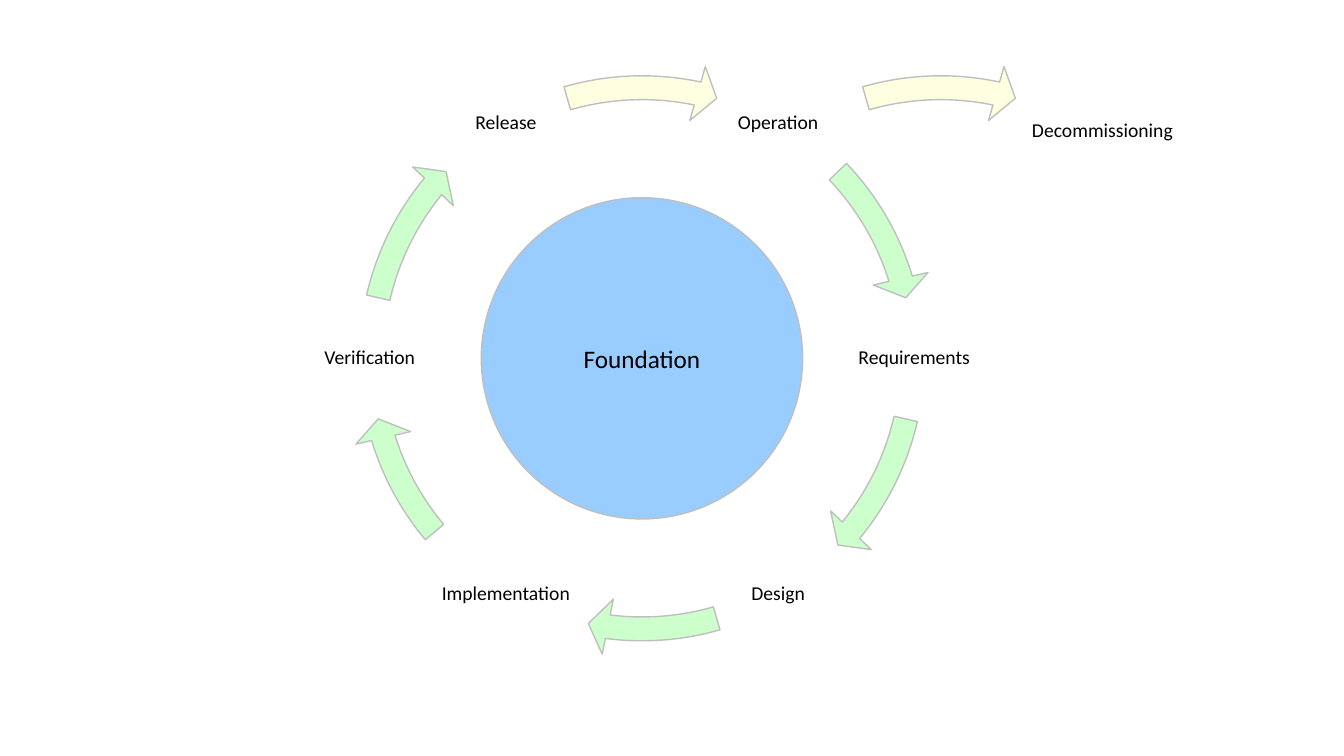
import math

from pptx import Presentation
from pptx import util as u
from pptx.dml.color import RGBColor
from pptx.enum import shapes, text

COLOURS = {"cycle": "CCFFCC", "release": "FDFFE0", "hub": "99CCFF",
           "outline": "BFBFBF", "text": "000000"}

deck = Presentation()
deck.slide_width, deck.slide_height = u.Inches(13.33), u.Inches(7.5)
page = deck.slides.add_slide(deck.slide_layouts[6])

# The grid has 100 rows, and columns as wide as the rows are high.
cell = deck.slide_height / 100
CENTRE_X, CENTRE_Y = 84.9, 47.4
LABEL_RADIUS, LABEL_SIZE = 36, 16.1
RING_SIZE, HUB_SIZE = 79, 42.5
EXIT_SHIFT = 39.5
ARROW_THICKNESS, ARROW_HEAD, HEAD_ANGLE = 0.04, 0.047, 4.17
ANGLE_UNIT = 0.6  # degrees in one adjustment unit


def add_centred(kind, x, y, width, height, fill=None):
    """Add a shape centred on a grid point, outlined only when filled."""
    box = page.shapes.add_shape(
        kind, *(round(n * cell) for n in (x - width / 2, y - height / 2, width, height)))
    box.shadow.inherit = False
    if fill:
        box.fill.solid()
        box.fill.fore_color.rgb = RGBColor.from_string(COLOURS[fill])
        box.line.color.rgb = RGBColor.from_string(COLOURS["outline"])
        box.line.width = u.Pt(1)
    else:
        box.fill.background()
        box.line.fill.background()
    return box


def write(box, wording, size):
    """Write one centred line of text in a shape."""
    frame = box.text_frame
    frame.text = wording
    frame.word_wrap = True
    frame.vertical_anchor = text.MSO_ANCHOR.MIDDLE
    frame.margin_left = frame.margin_right = u.Inches(0.02)
    frame.margin_top = frame.margin_bottom = u.Inches(0.02)
    para = frame.paragraphs[0]
    para.alignment = text.PP_ALIGN.CENTER
    font = para.runs[0].font
    font.name, font.size = "Calibri", u.Pt(size)
    font.color.rgb = RGBColor.from_string(COLOURS["text"])
    return para


# Arrows: shift to the right, start and end angle clockwise from the right, fill
arrows = [
    (0, 316.38, 342.9, "cycle"),
    (0, 12.94, 39.46, "cycle"),
    (0, 73.97, 97.26, "cycle"),
    (0, 140.05, 162.9, "cycle"),
    (0, 192.94, 219.46, "cycle"),
    (0, 253.97, 281.86, "release"),
    (EXIT_SHIFT, 253.97, 281.86, "release"),
]
for shift, start, end, fill in arrows:
    arrow = add_centred(shapes.MSO_SHAPE.CIRCULAR_ARROW, CENTRE_X + shift, CENTRE_Y,
                        RING_SIZE, RING_SIZE, fill)
    settings = (ARROW_THICKNESS, HEAD_ANGLE / ANGLE_UNIT * 0.36, end / ANGLE_UNIT * 0.36,
                start / ANGLE_UNIT * 0.36, ARROW_HEAD)
    settings = (ARROW_THICKNESS, HEAD_ANGLE * ANGLE_UNIT, end * ANGLE_UNIT,
                start * ANGLE_UNIT, ARROW_HEAD)
    for index, value in enumerate(settings):
        arrow.adjustments[index] = value

hub = add_centred(shapes.MSO_SHAPE.OVAL, CENTRE_X, CENTRE_Y, HUB_SIZE, HUB_SIZE, "hub")
write(hub, "Foundation", 18)

# Six phases stand 60 degrees apart; the last one lies outside the cycle.
phases = ["Operation", "Requirements", "Design", "Implementation", "Verification", "Release"]
labels = []
for index, phase in enumerate(phases):
    angle = math.radians(60 * (index - 1))
    width = 21.7 if phase == "Implementation" else LABEL_SIZE
    labels.append((phase, CENTRE_X + LABEL_RADIUS * math.cos(angle),
                   CENTRE_Y + LABEL_RADIUS * math.sin(angle), width, LABEL_SIZE))
labels.append(("Decommissioning", 145.8, 17.3, 19.6, 17.6))
for phase, x, y, width, height in labels:
    label = add_centred(shapes.MSO_SHAPE.RECTANGLE, x, y, width, height)
    write(label, phase, 14).line_spacing = 0.9

deck.save("out.pptx")
